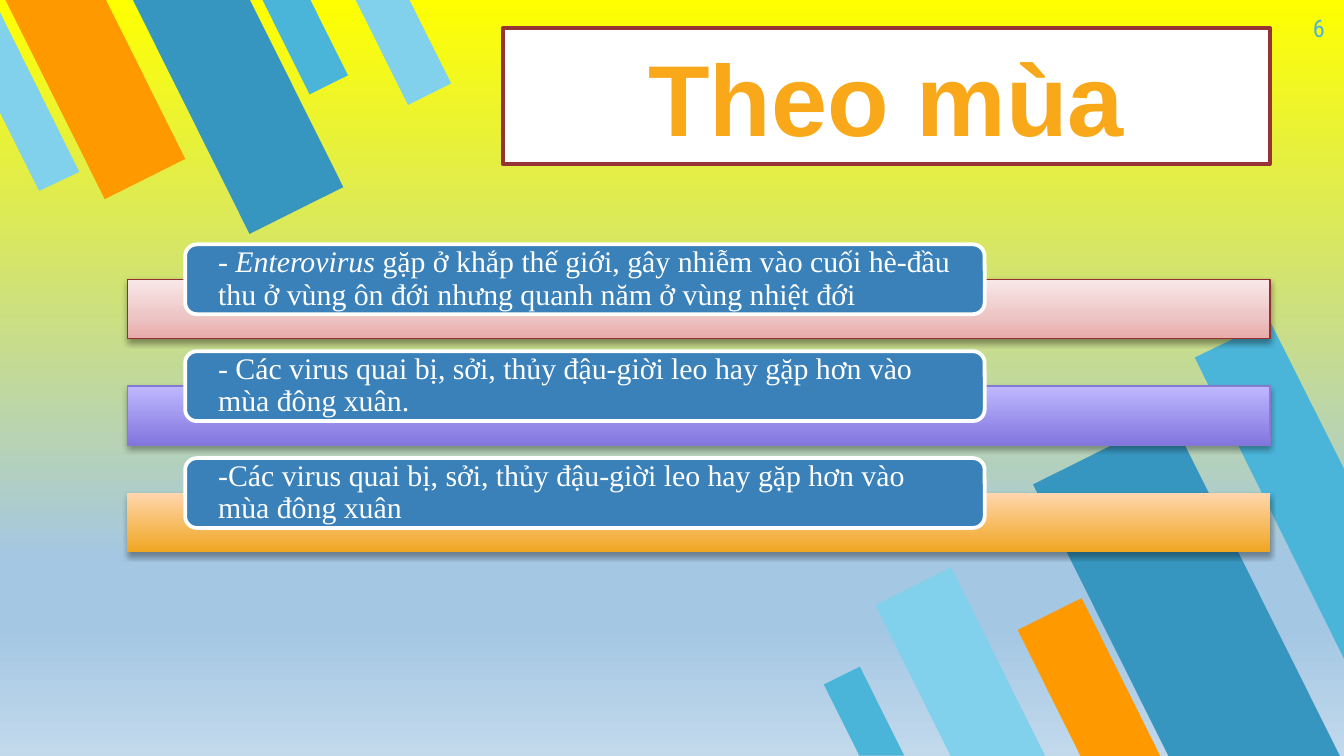
from lxml import etree
from pptx import Presentation
from pptx import util as u
from pptx.dml.color import RGBColor
from pptx.enum import shapes as sh, text as tx
from pptx.oxml.ns import qn

SKY = RGBColor(0x81, 0xD1, 0xEC)
AQUA = RGBColor(0x4B, 0xB5, 0xD9)
TEAL = RGBColor(0x37, 0x96, 0xBF)
ORANGE = RGBColor(0xFF, 0x99, 0x00)
BLUE = RGBColor(0x3A, 0x81, 0xBA)
WHITE = RGBColor(0xFF, 0xFF, 0xFF)
GOLD = RGBColor(0xF8, 0xA8, 0x19)
RED = RGBColor(0x96, 0x33, 0x34)
ROSE = RGBColor(0x95, 0x2F, 0x30)
LILAC = RGBColor(0x86, 0x7C, 0xCF)

PAGE = [(0, "FFFF00"), (74, "A4C7E3"), (83, "A4C7E3"), (100, "C2D9EC")]

# left, top, width, height, turn, colour
STRIPES = [
    (17.35, 10.87, 1.6, 3.99, 153.5, SKY),
    (20.98, 8.13, 2.9, 7.21, 153.5, TEAL),
    (19.91, 11.43, 1.35, 3.35, 153.5, ORANGE),
    (15.95, 12.67, 0.76, 1.88, 153.5, AQUA),
    (5.36, -0.3, 0.81, 2.01, 333.5, AQUA),
    (0.94, -0.66, 1.7, 4.27, 333.5, ORANGE),
    (3.51, -0.71, 1.98, 4.95, 333.5, TEAL),
    (7.16, -0.36, 0.91, 2.26, 333.5, SKY),
]
EDGES = [
    ([(24, 6.07), (22.58, 6.76), (25.4, 12.45), (25.4, 8.86)], AQUA),
    ([(0.74, 3.61), (1.5, 3.25), (0, 0.23), (0, 2.13)], SKY),
]
# text runs with italic flag, bar gradient, bar line, shadow alpha
ROWS = [
    ([("- Enterovirus", True),
      ("\u00a0gặp ở khắp thế giới, gây nhiễm vào cuối hè-đầu thu ở vùng "
       "ôn đới nhưng quanh năm ở vùng nhiệt đới", False)],
     [(0, "E8AAAA"), (35, "EDC4C4"), (100, "F9E8E8")], ROSE, 38),
    ([("- Các virus quai bị, sởi, thủy đậu-giời leo hay gặp hơn vào "
       "mùa đông xuân.", False)],
     [(0, "8275DE"), (100, "BFB8FF")], LILAC, 35),
    ([("-Các virus quai bị, sởi, thủy đậu-giời leo hay gặp hơn vào "
       "mùa đông xuân", False)],
     [(0, "F0A621"), (100, "FFD6AD")], None, 35),
]
TOP, PITCH = 4.62, 2.02


def blend(fill, node, stops, angle):
    """Give a fill its gradient stops; the angle runs counter-clockwise."""
    fill.gradient()
    fill.gradient_angle = angle
    items = node.find(".//" + qn("a:gsLst"))
    for old in list(items):
        items.remove(old)
    for pos, tone in stops:
        stop = etree.SubElement(items, qn("a:gs"), pos=str(pos * 1000))
        etree.SubElement(stop, qn("a:srgbClr"), val=tone)


def paint(shape, fill=None, line=None, width=0.75):
    """Set flat fill and outline, without a shadow."""
    shape.shadow.inherit = False
    if fill is not None:
        shape.fill.solid()
        shape.fill.fore_color.rgb = fill
    if line is None:
        shape.line.fill.background()
    else:
        shape.line.color.rgb = line
        shape.line.width = u.Pt(width)


def block(slide, kind, box, **look):
    """Add a preset shape; box is in centimetres."""
    shape = slide.shapes.add_shape(kind, *map(u.Cm, box))
    paint(shape, **look)
    return shape


def shade(shape, alpha):
    """Add a soft shadow straight below the shape."""
    list_ = shape.element.spPr.find(qn("a:effectLst"))
    drop = etree.SubElement(list_, qn("a:outerShdw"), blurRad=str(u.Pt(3.1)),
                            dist=str(u.Pt(1.7)), dir="5400000",
                            rotWithShape="0")
    tone = etree.SubElement(drop, qn("a:srgbClr"), val="000000")
    etree.SubElement(tone, qn("a:alpha"), val=str(alpha * 1000))


def write(shape, runs, font, size, color, bold=False, align=tx.PP_ALIGN.LEFT,
          anchor=tx.MSO_ANCHOR.MIDDLE, pad=(0.25, 0.13), space=1.0):
    """Put (text, italic) runs into a shape as one paragraph."""
    frame = shape.text_frame
    frame.word_wrap = True
    frame.auto_size = tx.MSO_AUTO_SIZE.NONE
    frame.vertical_anchor = anchor
    frame.margin_left = frame.margin_right = u.Cm(pad[0])
    frame.margin_top = frame.margin_bottom = u.Cm(pad[1])
    para = frame.paragraphs[0]
    para.alignment = align
    para.line_spacing = space
    for words, slant in runs:
        run = para.add_run()
        run.text = words
        run.font.name = font
        run.font.size = u.Pt(size)
        run.font.bold = bold
        run.font.italic = slant
        run.font.color.rgb = color


def stripe(slide, left, top, width, height, turn, color):
    """Add one slanted stripe."""
    shape = block(slide, sh.MSO_SHAPE.FLOWCHART_MANUAL_INPUT,
                  (left, top, width, height), fill=color)
    shape.rotation = turn
    shape.element.spPr.find(qn("a:xfrm")).set("flipH", "1")


def edge(slide, points, color):
    """Add a stripe that is cut off by the slide's side."""
    first, *rest = [(u.Cm(x), u.Cm(y)) for x, y in points]
    pen = slide.shapes.build_freeform(*first)
    pen.add_line_segments(rest, close=True)
    paint(pen.convert_to_shape(), fill=color)


def row(slide, top, runs, stops, line, alpha):
    """Add a gradient bar with its label on top."""
    bar = block(slide, sh.MSO_SHAPE.RECTANGLE,
                (2.41, top + 0.66, 21.59, 1.12), line=line)
    blend(bar.fill, bar.element, stops, 90)
    shade(bar, alpha)
    label = block(slide, sh.MSO_SHAPE.ROUNDED_RECTANGLE,
                  (3.5, top, 15.11, 1.32), fill=BLUE, line=WHITE, width=2)
    write(label, runs, "Times New Roman", 16, WHITE, pad=(0.56, 0), space=0.9)


def head(slide):
    """Format the title placeholder."""
    title = slide.shapes.title
    title.left, title.top = u.Cm(9.5), u.Cm(0.53)
    title.width, title.height = u.Cm(14.5), u.Cm(2.57)
    paint(title, fill=WHITE, line=RED, width=2)
    write(title, [("Theo mùa", False)], "Arial", 54, GOLD, bold=True,
          align=tx.PP_ALIGN.CENTER)


def main():
    """Build and save the slide."""
    deck = Presentation()
    deck.slide_width, deck.slide_height = u.Cm(25.4), u.Cm(14.29)
    slide = deck.slides.add_slide(deck.slide_layouts[5])
    blend(slide.background.fill, slide.element, PAGE, 270)
    for item in STRIPES:
        stripe(slide, *item)
    for item in EDGES:
        edge(slide, *item)
    number = slide.shapes.add_textbox(*map(u.Cm, (23.77, 0, 1.52, 1.09)))
    write(number, [("6", False)], "Roboto Condensed", 13, AQUA,
          align=tx.PP_ALIGN.RIGHT, anchor=tx.MSO_ANCHOR.TOP, pad=(0.25, 0.25))
    for i, item in enumerate(ROWS):
        row(slide, TOP + i * PITCH, *item)
    head(slide)
    deck.save("out.pptx")


main()
